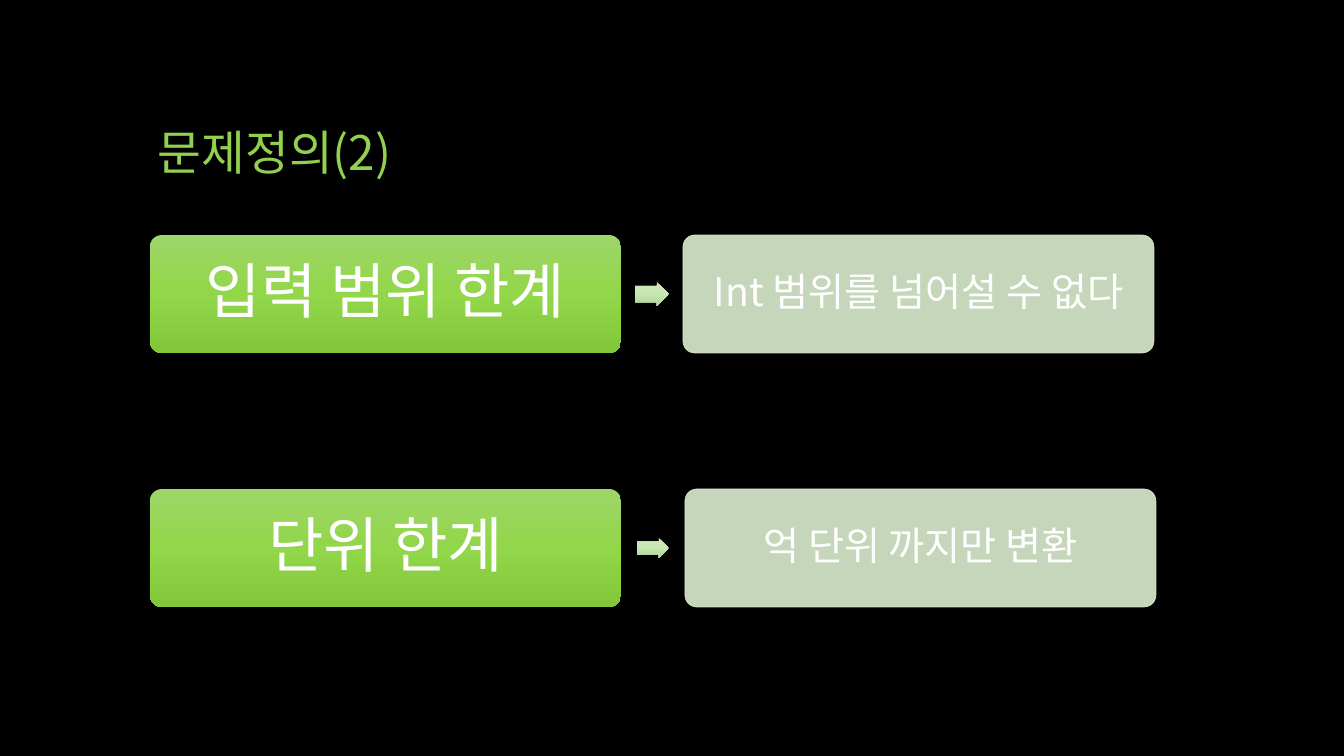
from copy import deepcopy

from lxml.etree import SubElement
from pptx import Presentation
from pptx.dml.color import RGBColor
from pptx.enum.shapes import MSO_SHAPE
from pptx.enum.text import MSO_ANCHOR, PP_ALIGN
from pptx.oxml.ns import qn
from pptx.util import Pt

PX = 914400 / 100.8
FONT = "Noto Sans CJK KR"
BLACK = RGBColor(0x00, 0x00, 0x00)
WHITE = RGBColor(0xFF, 0xFF, 0xFF)
LIME = RGBColor(0x92, 0xD0, 0x50)
PALE = RGBColor(0xDC, 0xEE, 0xD0)
GREENS = [RGBColor(0x9E, 0xD6, 0x69), RGBColor(0x92, 0xD6, 0x4A), RGBColor(0x82, 0xC6, 0x3A)]
PALE_GREENS = [RGBColor(0xCF, 0xE9, 0xBD), RGBColor(0xC7, 0xE7, 0xB0), RGBColor(0xB0, 0xD1, 0x99)]


def write(s, text, size, color, align=PP_ALIGN.LEFT, anchor=MSO_ANCHOR.TOP,
          inset=(10, 5), after=None):
    tf = s.text_frame
    tf.word_wrap = True
    tf.vertical_anchor = anchor
    tf.margin_left = tf.margin_right = round(inset[0] * PX)
    tf.margin_top = tf.margin_bottom = round(inset[1] * PX)
    p = tf.paragraphs[0]
    p.alignment = align
    p.line_spacing = 0.9
    if after:
        spacing = SubElement(p._p.get_or_add_pPr(), qn("a:spcAft"))
        SubElement(spacing, qn("a:spcPct")).set("val", str(after * 1000))
    r = p.add_run()
    r.text = text
    r.font.size = Pt(size)
    r.font.name = FONT
    r.font.color.rgb = color
    SubElement(r._r.get_or_add_rPr(), qn("a:ea")).set("typeface", FONT)


def add_block(kind, box, adjustments, colors):
    s = slide.shapes.add_shape(kind, *[round(v * PX) for v in box])
    s.shadow.inherit = False
    s.line.fill.background()
    for i, value in enumerate(adjustments):
        s.adjustments[i] = value
    if len(colors) == 1:
        s.fill.solid()
        s.fill.fore_color.rgb = colors[0]
        return s
    # Three-stop vertical gradient
    s.fill.gradient()
    s.fill.gradient_angle = 270
    stops = s._element.spPr.find(".//" + qn("a:gsLst"))
    stops.insert(1, deepcopy(stops[0]))
    for i, (stop, color) in enumerate(zip(s.fill.gradient_stops, colors)):
        stop.position = i / 2
        stop.color.rgb = color
    return s


prs = Presentation()
prs.slide_width, prs.slide_height = round(1344 * PX), round(756 * PX)
slide = prs.slides.add_slide(prs.slide_layouts[6])
slide.background.fill.solid()
slide.background.fill.fore_color.rgb = BLACK

# Title
title = slide.shapes.add_textbox(*[round(v * PX) for v in (148, 124, 1008, 166)])
write(title, "문제정의(2)", 34, LIME)

# Each row: limit, arrow, explanation
rows = [
    (235, "입력 범위 한계", (635, 282, 34, 24), 683, "Int 범위를 넘어설 수 없다"),
    (489, "단위 한계", (637, 538, 32, 20), 685, "억 단위 까지만 변환"),
]
centred = dict(align=PP_ALIGN.CENTER, anchor=MSO_ANCHOR.MIDDLE, after=35)
for top, limit, arrow_box, detail_left, detail in rows:
    s = add_block(MSO_SHAPE.ROUNDED_RECTANGLE, (150, top, 471, 118), [0.1], GREENS)
    write(s, limit, 43, WHITE, inset=(6, 6), **centred)

    add_block(MSO_SHAPE.RIGHT_ARROW, arrow_box, [0.67, 0.5], PALE_GREENS)

    s = add_block(MSO_SHAPE.ROUNDED_RECTANGLE, (detail_left, top, 471, 118), [0.1], [PALE])
    s.line.color.rgb = PALE
    s.line.width = Pt(0.5)
    for color in s._element.spPr.iter(qn("a:srgbClr")):
        SubElement(color, qn("a:alpha")).set("val", "90000")
    write(s, detail, 28, WHITE, inset=(4, 4), **centred)

prs.save("out.pptx")
